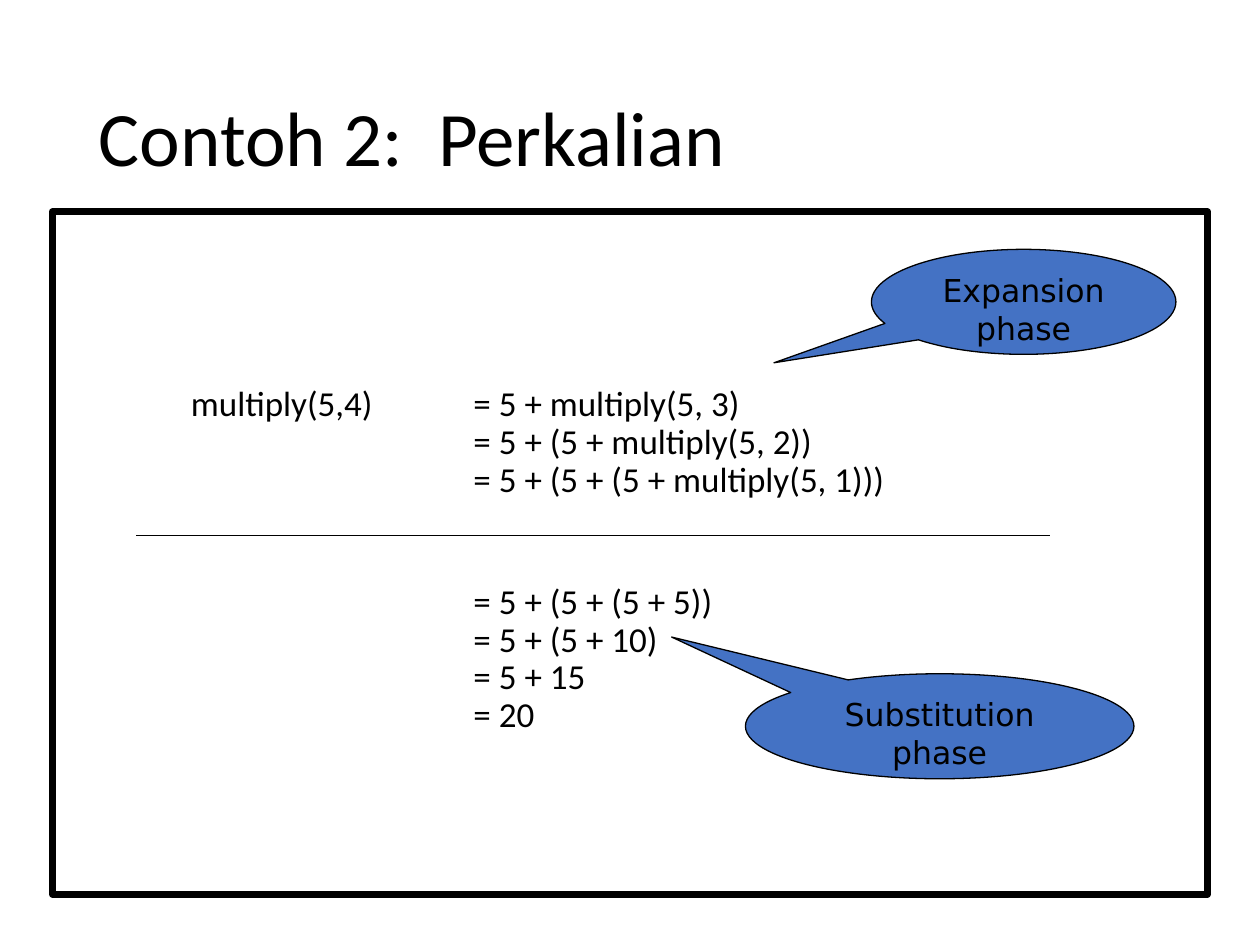
"""Build the slide on expanding and substituting a recursive product."""
import pptx
import pptx.dml.color
import pptx.enum.shapes
import pptx.enum.text
import pptx.oxml
import pptx.oxml.ns
import pptx.util

Pt = pptx.util.Pt
RGBColor = pptx.dml.color.RGBColor
Kind = pptx.enum.shapes.MSO_SHAPE
Align = pptx.enum.text.PP_ALIGN
Anchor = pptx.enum.text.MSO_ANCHOR
qn = pptx.oxml.ns.qn

BLACK = RGBColor(0, 0, 0)
WHITE = RGBColor(255, 255, 255)
BLUE = RGBColor(0x44, 0x72, 0xC4)


def write(shape, *texts, font="Calibri", size=20, align=Align.LEFT,
          anchor=Anchor.TOP, top=3.6, lead=None, gap=0, left=0, hang=0):
    frame = shape.text_frame
    frame.word_wrap = True
    frame.vertical_anchor = anchor
    frame.margin_top = Pt(top)
    for i, text in enumerate(texts):
        para = frame.add_paragraph() if i else frame.paragraphs[0]
        para.text = text
        para.alignment = align
        para.line_spacing = lead
        para.space_before = Pt(gap if i else 0)
        para.font.size = Pt(size)
        for run in para.runs:
            run.font.name = font
            run.font.size = Pt(size)
            run.font.color.rgb = BLACK
        props = para._p.get_or_add_pPr()
        props.set("marL", str(Pt(left)))
        props.set("indent", str(-Pt(hang) if "\t" in text else 0))


def draw(kind, box, fill, width):
    shape = slide.shapes.add_shape(kind, *map(Pt, box))
    shape.shadow.inherit = False
    shape.fill.solid()
    shape.fill.fore_color.rgb = fill
    shape.line.color.rgb = BLACK
    shape.line.width = Pt(width)
    return shape


deck = pptx.Presentation()
deck.slide_width, deck.slide_height = Pt(720), Pt(540)
slide = deck.slides.add_slide(deck.slide_layouts[6])

title = slide.shapes.add_textbox(Pt(49.5), Pt(28.8), Pt(621), Pt(104.4))
write(title, "Contoh 2:  Perkalian", size=44, anchor=Anchor.MIDDLE, lead=0.9)

panel = draw(Kind.RECTANGLE, (30, 121, 660, 390), WHITE, 4)
tint = panel._element.spPr.find(qn("a:solidFill"))[0]
alpha = pptx.oxml.parse_xml(
    '<a:alpha xmlns:a="http://schemas.openxmlformats.org/drawingml/2006/main"'
    ' val="80000"/>')
tint.append(alpha)

grow = ["multiply(5,4)\t= 5 + multiply(5, 3)",
        "= 5 + (5 + multiply(5, 2))",
        "= 5 + (5 + (5 + multiply(5, 1)))"]
solve = ["= 5 + (5 + (5 + 5))", "= 5 + (5 + 10)", "= 5 + 15", "= 20"]
write(panel, "\v".join(grow), "\v".join(solve), top=100, lead=0.9,
      gap=48, left=233.5, hang=161.5)

rule = slide.shapes.add_connector(
    pptx.enum.shapes.MSO_CONNECTOR.STRAIGHT, Pt(78), Pt(306), Pt(600), Pt(306))
rule.line.color.rgb = BLACK
rule.line.width = Pt(0.75)
rule._element.spPr.append(pptx.oxml.xmlchemy.OxmlElement("a:effectLst"))

notes = [("Expansion phase", (498, 142.5, 174, 60), (-0.82, 0.58)),
         ("Substitution phase", (426, 385, 222, 60), (-0.69, -0.85))]
for text, box, tip in notes:
    note = draw(Kind.OVAL_CALLOUT, box, BLUE, 0.75)
    note.adjustments[0], note.adjustments[1] = tip
    write(note, text, font="DejaVu Sans", size=18, align=Align.CENTER)

deck.save("out.pptx")
